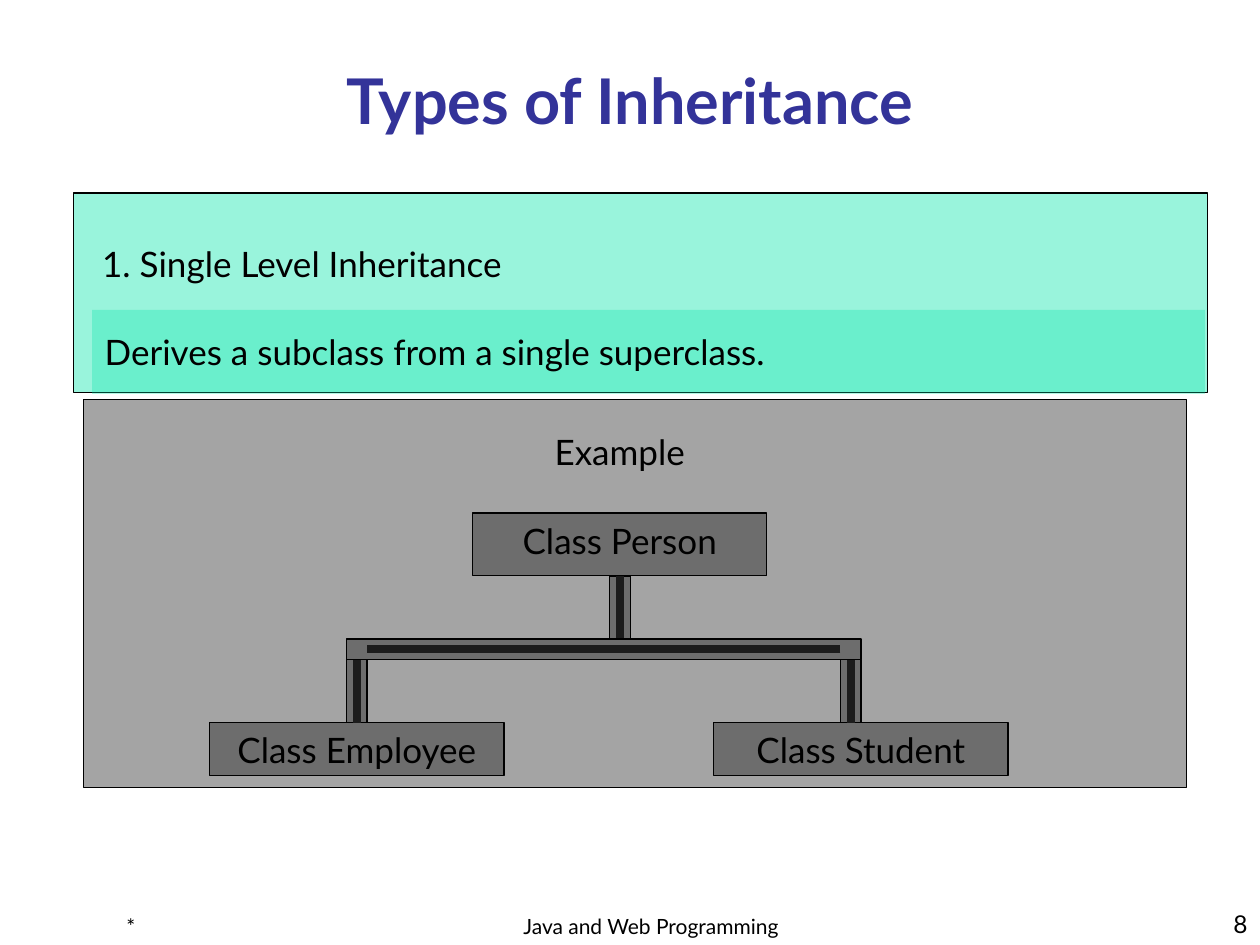
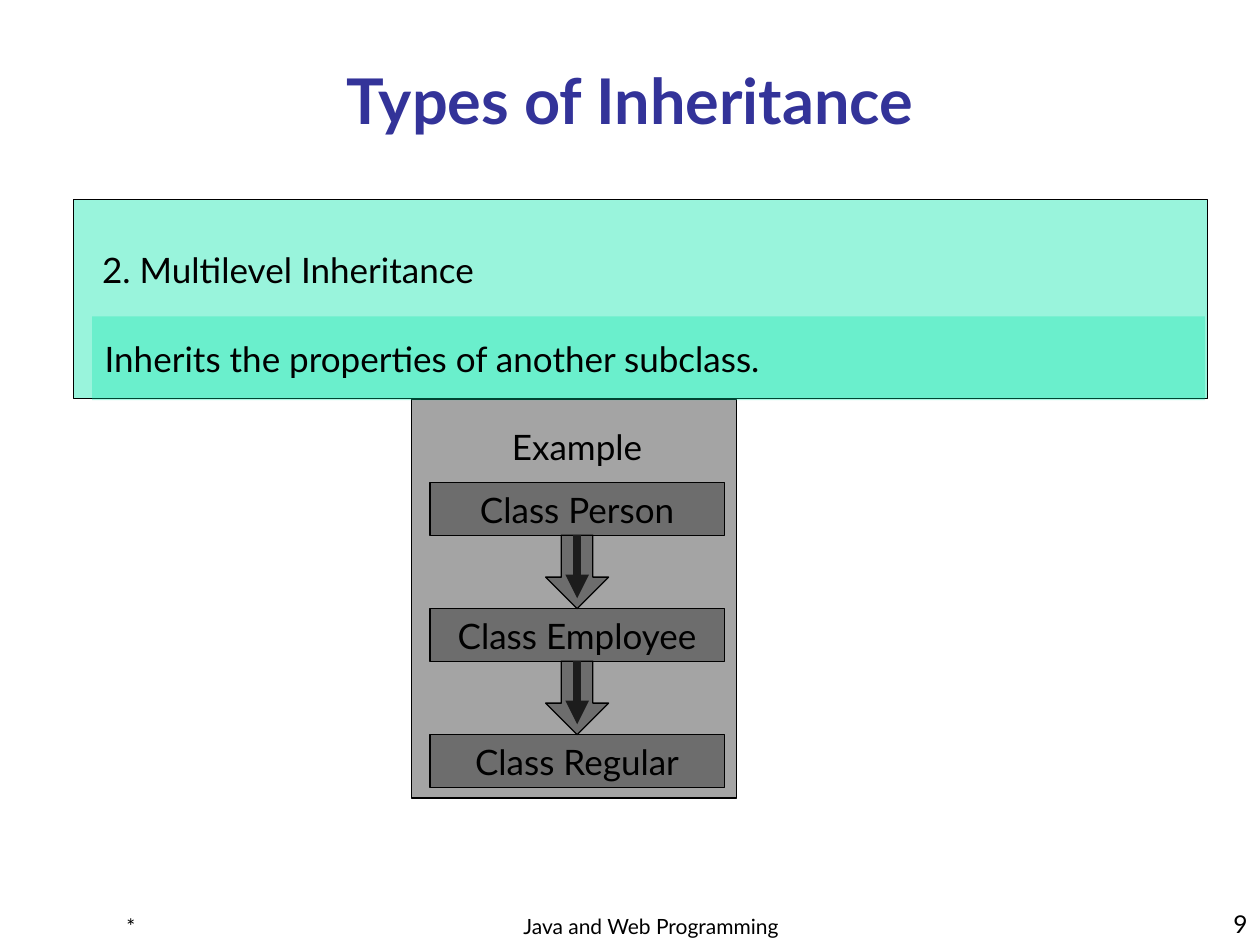
from lxml.etree import SubElement
from pptx import Presentation
from pptx.dml.color import RGBColor
from pptx.enum.shapes import MSO_CONNECTOR, MSO_SHAPE
from pptx.enum.text import MSO_ANCHOR, PP_ALIGN
from pptx.oxml.ns import qn
from pptx.util import Cm, Pt

COLORS = {"title": "333399", "text": "000000", "line": "000000",
          "dark": "1C1C1C", "mint": "00E4A8"}
FONT = "Lato"
SLIDE_W, SLIDE_H = 25.4, 19.05
BOX_W, BOX_H = 5.93, 1.06
BAR, STEM = 0.42, 1.27


def rgb(name):
    """Return a palette colour."""
    return RGBColor.from_string(COLORS[name])


def write(sp, text, size=20, align=PP_ALIGN.CENTER, anchor=MSO_ANCHOR.TOP,
          color="text", bold=False):
    """Put one styled paragraph into a shape."""
    tf = sp.text_frame
    tf.word_wrap = True
    tf.vertical_anchor = anchor
    p = tf.paragraphs[0]
    p.text = text
    p.alignment = align
    p.font.name = FONT
    p.font.size = Pt(size)
    p.font.bold = bold
    p.font.color.rgb = rgb(color)
    return tf


def add_text(slide, box, text, **style):
    """Add a text box at a box given in centimetres."""
    sp = slide.shapes.add_textbox(*map(Cm, box))
    write(sp, text, **style)


def add_block(slide, box, fill="dark", alpha=40, outlined=True,
              kind=MSO_SHAPE.RECTANGLE):
    """Add a translucent shape at a box given in centimetres."""
    sp = slide.shapes.add_shape(kind, *map(Cm, box))
    sp.shadow.inherit = False
    sp.fill.solid()
    sp.fill.fore_color.rgb = rgb(fill)
    clr = sp.fill._xPr.find(qn("a:solidFill"))[0]
    SubElement(clr, qn("a:alpha"), val=str(alpha * 1000))
    if outlined:
        sp.line.color.rgb = rgb("line")
        sp.line.width = Pt(0.75)
    else:
        sp.line.fill.background()
    return sp


def add_core(slide, x1, y1, x2, y2, arrow=False):
    """Add the thick dark line that runs inside a bar or an arrow."""
    cn = slide.shapes.add_connector(MSO_CONNECTOR.STRAIGHT,
                                    *map(Cm, (x1, y1, x2, y2)))
    cn.line.color.rgb = rgb("dark")
    cn.line.width = Pt(4.5)
    if arrow:
        SubElement(cn.line._get_or_add_ln(), qn("a:tailEnd"), type="triangle")
    SubElement(cn._element.spPr, qn("a:effectLst"))


def add_class(slide, x, y, name, h=BOX_H):
    """Add a class box."""
    write(add_block(slide, (x, y, BOX_W, h)), f"Class {name}")


def add_stem(slide, cx, y):
    """Add a vertical bar centred on cx."""
    add_block(slide, (cx - BAR / 2, y, BAR, STEM))
    add_core(slide, cx, y, cx, y + STEM)


def add_frame(slide, number):
    """Add the title and the footer row."""
    add_text(slide, (0, 0.84, SLIDE_W, 2.34), "Types of Inheritance", size=36,
             anchor=MSO_ANCHOR.MIDDLE, color="title", bold=True)
    footers = (((0, 17.78, 5.28, 1.27), "*", 12, PP_ALIGN.CENTER),
               ((9.1, 17.99, 8.05, 1.06), "Java and Web Programming", 12,
                PP_ALIGN.CENTER),
               ((20.12, 17.78, 5.28, 1.27), str(number), 14, PP_ALIGN.RIGHT))
    for box, text, size, align in footers:
        add_text(slide, box, text, size=size, align=align,
                 anchor=MSO_ANCHOR.BOTTOM)


def add_banner(slide, top, heading, definition):
    """Add the mint band with a heading and its definition."""
    left = 1.48
    tf = write(add_block(slide, (left, top, 22.86, 4.02), "mint"), heading,
               align=PP_ALIGN.LEFT)
    tf.margin_left, tf.margin_top = Cm(0.58), Cm(0.99)
    sp = add_block(slide, (left + 0.38, top + 2.36, 22.43, 1.69), "mint", 30,
                   outlined=False)
    write(sp, definition, align=PP_ALIGN.LEFT, anchor=MSO_ANCHOR.MIDDLE)


def add_tree(slide, box, parent, children):
    """Add a panel with a parent class branching to two subclasses."""
    x, y, _, _ = box
    parent_x, child_y = x + 7.84, y + 6.52
    parent_h = 1.27
    add_block(slide, box)
    add_text(slide, (parent_x, y + 0.51, BOX_W, 1.27), "Example")
    add_class(slide, parent_x, y + 2.29, parent, parent_h)
    for child_x, name in zip((x + 2.54, x + 12.7), children):
        add_class(slide, child_x, child_y, name)
    stem_y = y + 2.29 + parent_h
    bar_y = stem_y + STEM
    first, last = x + 5.5, x + 15.46
    add_stem(slide, parent_x + BOX_W / 2, stem_y)
    for cx in (first, last):
        add_stem(slide, cx, bar_y + BAR)
    add_block(slide, (first - BAR / 2, bar_y, last - first + BAR, BAR))
    mid_y = bar_y + BAR / 2
    add_core(slide, last - BAR / 2, mid_y, first + BAR / 2, mid_y)


def add_chain(slide, box, names):
    """Add a panel with classes stacked and joined by arrows."""
    x, y, _, _ = box
    left, step, arrow_w = x + 0.38, 2.54, 1.27
    cx = left + BOX_W / 2
    add_block(slide, box)
    add_text(slide, (left, y + 0.41, BOX_W, BOX_H), "Example")
    for i, name in enumerate(names):
        box_y = y + 1.68 + i * step
        add_class(slide, left, box_y, name)
        if i < len(names) - 1:
            arrow_y = box_y + BOX_H
            add_block(slide, (cx - arrow_w / 2, arrow_y, arrow_w, step - BOX_H),
                      kind=MSO_SHAPE.DOWN_ARROW)
            add_core(slide, cx, arrow_y, cx, arrow_y + STEM, arrow=True)


def main():
    """Build both slides and save them."""
    prs = Presentation()
    prs.slide_width, prs.slide_height = Cm(SLIDE_W), Cm(SLIDE_H)
    blank = prs.slide_layouts[6]

    slide = prs.slides.add_slide(blank)
    add_tree(slide, (1.69, 8.05, 22.23, 7.82), "Person",
             ("Employee", "Student"))
    add_banner(slide, 3.89, "1. Single Level Inheritance",
               "Derives a subclass from a single superclass.")
    add_frame(slide, 8)

    slide = prs.slides.add_slide(blank)
    add_chain(slide, (8.29, 8.05, 6.56, 8.04),
              ("Person", "Employee", "Regular"))
    add_banner(slide, 4.02, "2. Multilevel Inheritance",
               "Inherits the properties of another subclass.")
    add_frame(slide, 9)

    prs.save("out.pptx")


if __name__ == "__main__":
    main()
